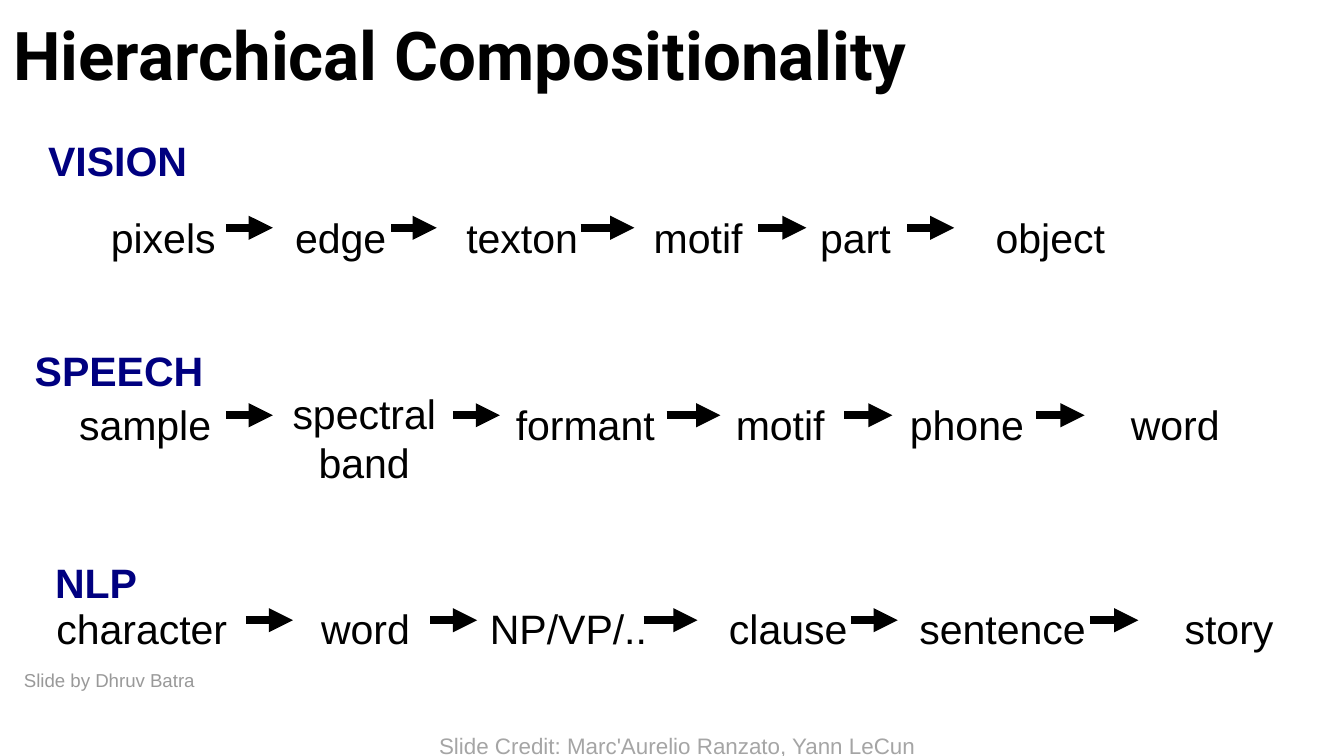
import pptx
import pptx.util
import pptx.dml.color
import pptx.enum.shapes
import pptx.enum.text
import pptx.oxml.ns
import lxml.etree

RGBColor = pptx.dml.color.RGBColor
ALIGN = pptx.enum.text.PP_ALIGN
ANCHOR = pptx.enum.text.MSO_ANCHOR

BLACK = RGBColor(0x00, 0x00, 0x00)
NAVY = RGBColor(0x00, 0x00, 0x80)
GRAY = RGBColor(0x99, 0x99, 0x99)
LIGHT_GRAY = RGBColor(0xA5, 0xA5, 0xA5)

WIDTH = 10
HEIGHT = WIDTH * 9 / 16
CELL = 0.1  # grid column and row, in inches
LABEL_INSETS = (0.09, 0.07, 0.09, 0.04)
NOTE_INSETS = (0.1, 0.05, 0.1, 0.05)
WIDE_INSETS = (0.1, 0.1, 0.1, 0.1)


def cells(n):
    return pptx.util.Inches(n * CELL)


class Deck:
    """Style and current slide; positions are in grid columns and rows."""

    def __init__(self):
        self.prs = pptx.Presentation()
        self.prs.slide_width = pptx.util.Inches(WIDTH)
        self.prs.slide_height = pptx.util.Inches(HEIGHT)
        self.s = self.prs.slides.add_slide(self.prs.slide_layouts[5])

    def fill_text(self, sp, text, size, color, font="Arial", bold=False,
                  align=ALIGN.CENTER, anchor=ANCHOR.TOP, insets=LABEL_INSETS):
        tf = sp.text_frame
        tf.word_wrap = True
        tf.auto_size = pptx.enum.text.MSO_AUTO_SIZE.NONE
        tf.vertical_anchor = anchor
        (tf.margin_left, tf.margin_top,
         tf.margin_right, tf.margin_bottom) = map(pptx.util.Inches, insets)
        p = tf.paragraphs[0]
        p.text = text
        p.alignment = align
        p.font.name = font
        p.font.size = pptx.util.Pt(size)
        p.font.bold = bold
        p.font.color.rgb = color

    def title(self, text):
        sp = self.s.shapes.title
        sp.left, sp.top, sp.width, sp.height = map(cells, (0, 0, 100, 6.3))
        self.fill_text(sp, text, 36, BLACK, font="Roboto", bold=True,
                       align=ALIGN.LEFT, insets=WIDE_INSETS)

    def text(self, text, left, top, width, height, size, color, **style):
        sp = self.s.shapes.add_textbox(*map(cells, (left, top, width, height)))
        self.fill_text(sp, text, size, color, **style)

    def heading(self, text, left, top):
        self.text(text, left, top, 15.9, 3.2, 22, NAVY, bold=True)

    def stage(self, text, left, top, width):
        lines = len(text.split())
        if lines > 1:
            top -= 0.8
        self.text(text, left, top, width, 0.7 + 2.5 * lines, 22, BLACK)

    def arrow(self, start, end, y):
        c = self.s.shapes.add_connector(
            pptx.enum.shapes.MSO_CONNECTOR.STRAIGHT,
            *map(cells, (start, y, end, y)))
        c.line.color.rgb = BLACK
        c.line.width = pptx.util.Pt(4.31)
        qn = pptx.oxml.ns.qn
        lxml.etree.SubElement(c.get_or_add_ln(), qn("a:tailEnd"), type="triangle")
        lxml.etree.SubElement(c._element.spPr, qn("a:effectLst"))

    def chain(self, top, arrow_y, stages, arrows):
        """One row of stages (text, left, width) with arrows (start, end)."""
        for start, end in arrows:
            self.arrow(start, end, arrow_y)
        for text, left, width in stages:
            self.stage(text, left, top, width)


# heading, its left and top, row top, arrow height, stages, arrows
CHAINS = [
    ("VISION", 0.8, 9.4, 15.1, 16.95,
     [("pixels", 7, 10.3), ("edge", 20.2, 10.3), ("texton", 32.7, 12.3),
      ("motif", 45.8, 12.3), ("part", 57.5, 12.3), ("object", 72, 12.3)],
     [(16.8, 20.3), (29.1, 32.5), (43.2, 47.2), (56.4, 60), (67.5, 71)]),
    ("SPEECH", 0.9, 25, 29, 30.9,
     [("sample", 4.1, 13.4), ("spectral band", 20.2, 13.8),
      ("formant", 37.4, 12.3), ("motif", 51.9, 12.3),
      ("phone", 65.8, 12.3), ("word", 81.3, 12.3)],
     [(16.8, 20.3), (33.7, 37.2), (49.6, 53.6), (62.8, 66.4), (77.1, 80.7)]),
    ("NLP", -0.8, 40.8, 44.2, 46.15,
     [("character", 2, 17.1), ("word", 22.1, 10.2), ("NP/VP/..", 34.9, 14.8),
      ("clause", 52.5, 12.3), ("sentence", 65.9, 17.4), ("story", 85.3, 12.3)],
     [(18.3, 21.8), (32, 35.5), (47.9, 51.9), (63.3, 66.8), (81.1, 84.7)]),
]


def main():
    deck = Deck()
    deck.title("Hierarchical Compositionality")
    for name, left, heading_top, top, arrow_y, stages, arrows in CHAINS:
        deck.heading(name, left, heading_top)
        deck.chain(top, arrow_y, stages, arrows)
    deck.text("Slide Credit: Marc'Aurelio Ranzato, Yann LeCun",
              31.5, 54, 37.8, 2.3, 12, LIGHT_GRAY, insets=NOTE_INSETS)
    deck.text("Slide by Dhruv Batra", 0.8, 48.5, 32.8, 4.2, 10, GRAY,
              align=ALIGN.LEFT, anchor=ANCHOR.MIDDLE, insets=WIDE_INSETS)
    deck.prs.save("out.pptx")


if __name__ == "__main__":
    main()
